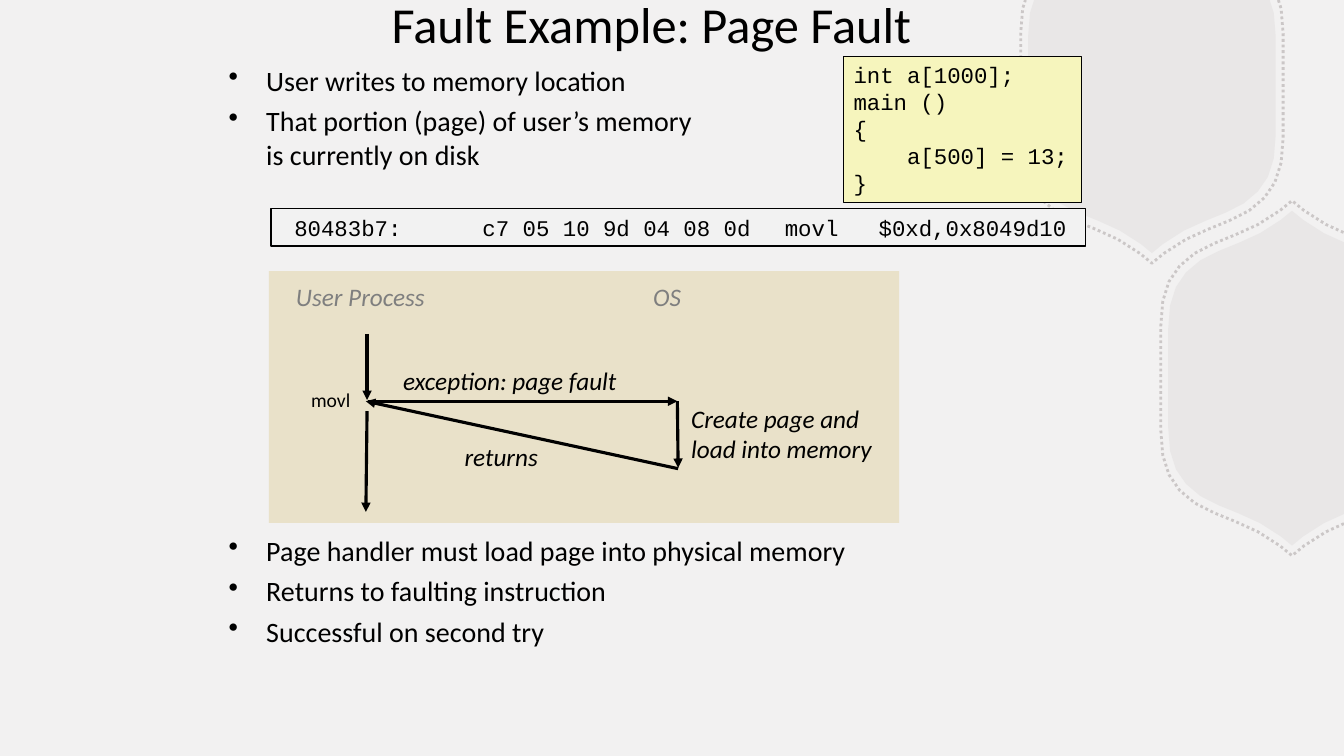
import pptx
import pptx.util
import pptx.dml.color
import pptx.enum.dml
import pptx.enum.shapes
import pptx.enum.text
import pptx.oxml
import pptx.oxml.ns
import lxml.etree

Cm = pptx.util.Cm
WIDTH, HEIGHT = 33.87, 19.05
BLACK, GREY, CREAM = "000000", "7F7F7F", "E9E1C9"
SANS, MONO = "Calibri", "Courier New"


def paint(fill, colour):
    fill.solid()
    fill.fore_color.rgb = pptx.dml.color.RGBColor.from_string(colour)


def write(text, left, top, width, height, size=18, font=SANS, colour=BLACK, italic=False,
          centred=False, middle=False, wrap=False, bullet=False, tabs=(), fill=None):
    box = page.shapes.add_textbox(Cm(left), Cm(top), Cm(width), Cm(height))
    if fill:
        paint(box.fill, fill)
        paint(box.line.fill, BLACK)
        box.line.width = pptx.util.Pt(1)
    frame = box.text_frame
    frame.word_wrap = wrap
    anchors = pptx.enum.text.MSO_ANCHOR
    frame.vertical_anchor = anchors.MIDDLE if middle else anchors.TOP
    for index, line in enumerate(text.split("\n")):
        para = frame.add_paragraph() if index else frame.paragraphs[0]
        para.text = line
        aligns = pptx.enum.text.PP_ALIGN
        para.alignment = aligns.CENTER if centred else aligns.LEFT
        properties = para._p.get_or_add_pPr()
        if bullet:
            properties.set("marL", str(Cm(0.95)))
            properties.set("indent", str(Cm(-0.95)))
            if index:
                para.space_before = pptx.util.Pt(5)
            mark = lxml.etree.SubElement(properties, pptx.oxml.ns.qn("a:buChar"))
            mark.set("char", "•")
        if tabs:
            stops = lxml.etree.SubElement(properties, pptx.oxml.ns.qn("a:tabLst"))
            for position in tabs:
                stop = lxml.etree.SubElement(stops, pptx.oxml.ns.qn("a:tab"))
                stop.set("pos", str(Cm(position)))
                stop.set("algn", "l")
        for span in para.runs:
            span.font.size = pptx.util.Pt(size)
            span.font.name = font
            span.font.italic = italic
            span.font.color.rgb = pptx.dml.color.RGBColor.from_string(colour)


deck = pptx.Presentation()
deck.slide_width, deck.slide_height = Cm(WIDTH), Cm(HEIGHT)
page = deck.slides.add_slide(deck.slide_layouts[6])
paint(page.background.fill, "F2F1F1")

corner_curves = [
    [(0.28, 3.99), (0.97, 3.45), (1.73, 3.33), (2.31, 2.97)],
    [(2.31, 2.97), (2.87, 2.59), (3.12, 2.13), (3.12, 1.24)],
]
STEPS = 4
quarter = [(0, 4.22)]
for curve in corner_curves:
    for step in range(STEPS):
        t = step / STEPS
        weights = ((1 - t) ** 3, 3 * t * (1 - t) ** 2, 3 * t * t * (1 - t), t ** 3)
        quarter.append(tuple(sum(w * point[axis] for w, point in zip(weights, curve))
                             for axis in (0, 1)))
quarter.append((3.12, 1.24))
half = quarter + [(x, -y) for x, y in reversed(quarter)]
hexagon = half + [(-x, y) for x, y in reversed(half[1:-1])]

for scale, opacity in ((1, 15), (1.06, 65)):
    for centre_x, centre_y, axis, edge in ((29.03, 2.16, 1, 0), (32.56, 9.53, 0, WIDTH)):
        points = [(centre_x + scale * x, centre_y - scale * y) for x, y in hexagon]
        hidden = [x > WIDTH or y < 0 for x, y in points]
        start = next(i for i in range(len(points)) if hidden[i - 1] and not hidden[i])
        points = points[start:] + points[:start]
        count = hidden.count(False)
        crossings = []
        for inner, outer in ((points[0], points[-1]), (points[count - 1], points[count])):
            t = (edge - inner[axis]) / (outer[axis] - inner[axis])
            crossings.append(tuple(a + t * (b - a) for a, b in zip(inner, outer)))
        visible = [crossings[0]] + points[:count] + [crossings[1]]
        visible = [(Cm(x), Cm(y)) for x, y in visible]
        builder = page.shapes.build_freeform(*visible[0])
        builder.add_line_segments(visible[1:], close=scale == 1)
        cell = builder.convert_to_shape()
        cell.shadow.inherit = False
        if scale == 1:
            paint(cell.fill, "B8B2B2")
            cell.line.fill.background()
        else:
            cell.fill.background()
            paint(cell.line.fill, "B8B2B2")
            cell.line.width = pptx.util.Pt(2)
            cell.line.dash_style = pptx.enum.dml.MSO_LINE.ROUND_DOT
        for tint in cell._element.spPr.iter(pptx.oxml.ns.qn("a:srgbClr")):
            alpha = lxml.etree.SubElement(tint, pptx.oxml.ns.qn("a:alpha"))
            alpha.set("val", str(opacity * 1000))

panel = page.shapes.add_shape(pptx.enum.shapes.MSO_SHAPE.RECTANGLE,
                              Cm(6.78), Cm(6.83), Cm(15.88), Cm(6.35))
panel.shadow.inherit = False
paint(panel.fill, CREAM)
panel.line.fill.background()

write("Fault Example: Page Fault", 5.46, -1.07, 21.92, 3.3,
      size=36, centred=True, middle=True, wrap=True)
write("User writes to memory location\n"
      "That portion (page) of user’s memory\vis currently on disk",
      5.51, 1.47, 15, 3, size=20, bullet=True, wrap=True)
write("Page handler must load page into physical memory\n"
      "Returns to faulting instruction\n"
      "Successful on second try",
      5.51, 13.31, 22.66, 3.2, size=20, bullet=True, wrap=True)
write("int a[1000];\nmain ()\n{\n    a[500] = 13;\n}",
      21.26, 1.42, 5.99, 3.68, size=16, font=MONO, fill="F6F5BD")
write(" 80483b7:\tc7 05 10 9d 04 08 0d \tmovl   $0xd,0x8049d10",
      6.83, 5.26, 20.52, 0.94, size=16, font=MONO, fill="F2F2F2", tabs=(5.08, 12.7), wrap=True)

write("User Process", 7.21, 6.96, 3.78, 1.02, colour=GREY, italic=True)
write("OS", 16.21, 6.96, 1.22, 1.02, colour=GREY, italic=True)
write("exception: page fault", 9.91, 9.09, 5.94, 1.02, italic=True)
write("Create page and\nload into memory", 17.17, 10.03, 5.49, 1.78, italic=True, wrap=True)
write("returns", 11.46, 11, 2.36, 1.02, italic=True)
write("movl", 7.59, 9.65, 1.5, 0.86, size=14)

control_flow = [
    (9.25, 8.41, 9.25, 10.08),
    (9.27, 10.11, 17.07, 10.11),
    (17.07, 10.11, 17.09, 11.79),
    (17.09, 11.81, 9.22, 10.11),
    (9.25, 10.36, 9.22, 12.9),
]
for ends in control_flow:
    arrow = page.shapes.add_connector(pptx.enum.shapes.MSO_CONNECTOR.STRAIGHT,
                                      *[Cm(value) for value in ends])
    paint(arrow.line.fill, BLACK)
    arrow.line.width = pptx.util.Pt(2.25)
    head = lxml.etree.SubElement(arrow.line._get_or_add_ln(), pptx.oxml.ns.qn("a:tailEnd"))
    head.set("type", "triangle")
    lxml.etree.SubElement(arrow._element.spPr, pptx.oxml.ns.qn("a:effectLst"))

deck.save("out.pptx")
